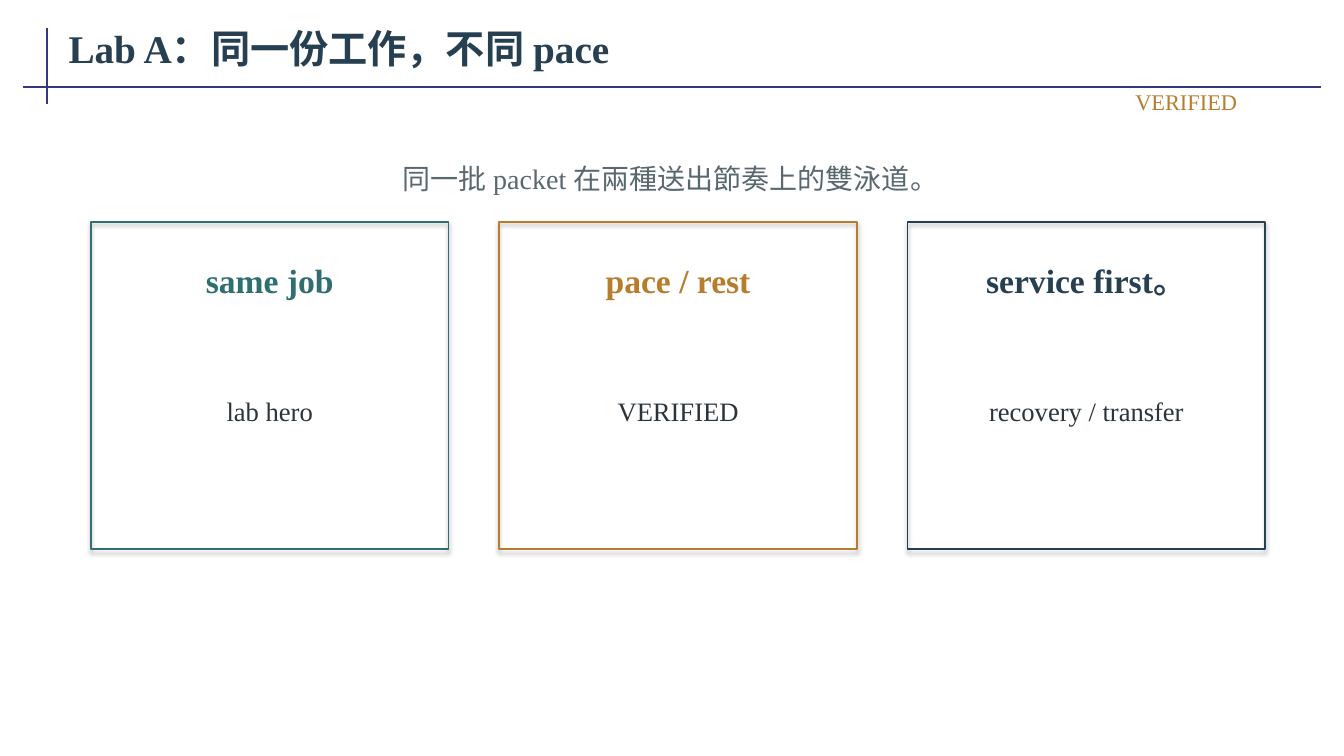
from pptx import Presentation
from pptx.dml.color import RGBColor
from pptx.enum.shapes import MSO_CONNECTOR, MSO_SHAPE
from pptx.enum.text import MSO_ANCHOR, MSO_AUTO_SIZE, PP_ALIGN
from pptx.util import Pt
from lxml import etree

PX = 9144
DRAWING = "http://schemas.openxmlformats.org/drawingml/2006/main"
COLORS = {
    "rule": "35377F",
    "navy": "263F51",
    "teal": "2F6F70",
    "amber": "B77D2D",
    "slate": "59686F",
    "ink": "2A343A",
}


def color(name):
    return RGBColor.from_string(COLORS[name])


def write(box, text, size, tint, align, bold=False, fit=MSO_AUTO_SIZE.SHAPE_TO_FIT_TEXT):
    frame = box.text_frame
    frame.text = text
    frame.word_wrap = True
    frame.auto_size = fit
    frame.vertical_anchor = MSO_ANCHOR.MIDDLE
    frame.margin_left = frame.margin_right = 8 * PX
    frame.margin_top = frame.margin_bottom = 4 * PX
    para = frame.paragraphs[0]
    para.alignment = align
    font = para.runs[0].font
    font.name = "Times New Roman"
    font.size = Pt(size)
    font.bold = bold
    font.color.rgb = color(tint)


deck = Presentation()
deck.slide_width = 1333 * PX
deck.slide_height = 750 * PX
page = deck.slides.add_slide(deck.slide_layouts[5])
shapes = page.shapes

for ends in [(47, 28, 47, 103), (23, 86, 1310, 86)]:
    rule = shapes.add_connector(MSO_CONNECTOR.STRAIGHT, *[end * PX for end in ends])
    rule.line.color.rgb = color("rule")
    rule.line.width = Pt(1.5)
    etree.SubElement(rule._element.spPr, f"{{{DRAWING}}}effectLst")

title = shapes.title
title.left, title.top, title.width, title.height = 60 * PX, 16 * PX, 1251 * PX, 62 * PX
write(title, "Lab A：同一份工作，不同 pace", 28, "navy", PP_ALIGN.LEFT, True, MSO_AUTO_SIZE.NONE)

subtitle = shapes.add_textbox(90 * PX, 148 * PX, 1150 * PX, 58 * PX)
write(subtitle, "同一批 packet 在兩種送出節奏上的雙泳道。", 20, "slate", PP_ALIGN.CENTER)

cards = [
    ("same job", "lab hero", "teal"),
    ("pace / rest", "VERIFIED", "amber"),
    ("service first。", "recovery / transfer", "navy"),
]
for index, (heading, detail, tint) in enumerate(cards):
    left = 90 + 405 * index
    card = shapes.add_shape(MSO_SHAPE.RECTANGLE, left * PX, 220 * PX, 355 * PX, 325 * PX)
    card.fill.background()
    card.line.color.rgb = color(tint)
    card.line.width = Pt(1.2)
    heading_box = shapes.add_textbox((left + 15) * PX, 245 * PX, 325 * PX, 65 * PX)
    write(heading_box, heading, 24, tint, PP_ALIGN.CENTER, True)
    detail_box = shapes.add_textbox((left + 20) * PX, 330 * PX, 315 * PX, 155 * PX)
    write(detail_box, detail, 19, "ink", PP_ALIGN.CENTER)

status = shapes.add_textbox(915 * PX, 86 * PX, 320 * PX, 30 * PX)
write(status, "VERIFIED", 16, "amber", PP_ALIGN.RIGHT)

deck.save("out.pptx")
